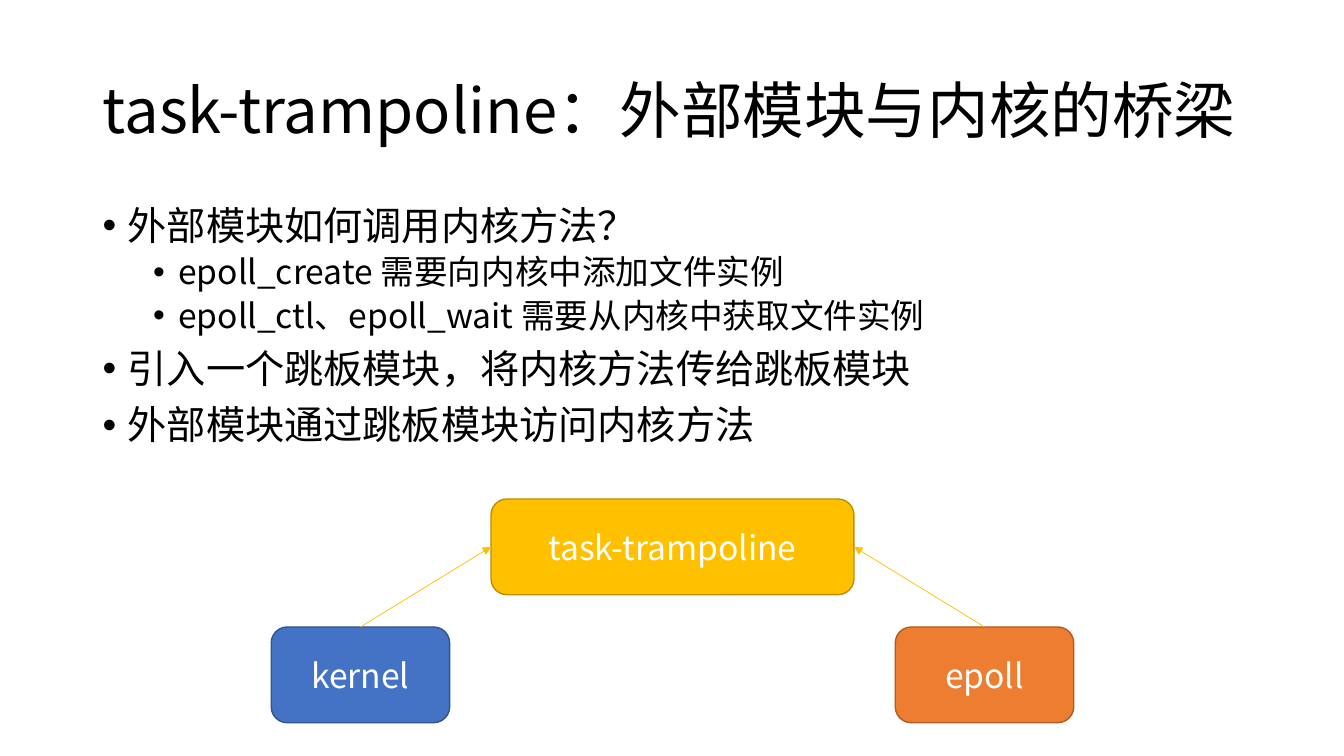
"""Build the task-trampoline slide: title, bullets and a module diagram."""
from lxml.etree import SubElement
from pptx import Presentation
from pptx.dml.color import RGBColor
from pptx.enum.shapes import MSO_CONNECTOR, MSO_SHAPE
from pptx.enum.text import MSO_ANCHOR, PP_ALIGN
from pptx.oxml.ns import qn
from pptx.util import Inches, Pt

FONT = "Noto Sans CJK SC"
COLORS = {
    "text": "000000", "label": "FFFFFF",
    "kernel": "4472C4", "kernel_line": "325491",
    "epoll": "ED7D31", "epoll_line": "AF5C24",
    "trampoline": "FFC000", "trampoline_line": "BD8E00",
}
TITLE = "task-trampoline：外部模块与内核的桥梁"
BULLETS = [
    (0, "外部模块如何调用内核方法？"),
    (1, "epoll_create 需要向内核中添加文件实例"),
    (1, "epoll_ctl、epoll_wait 需要从内核中获取文件实例"),
    (0, "引入一个跳板模块，将内核方法传给跳板模块"),
    (0, "外部模块通过跳板模块访问内核方法"),
]
LEVELS = [(28, 10, 0.25), (24, 5, 0.75)]


def rgb(name):
    return RGBColor.from_string(COLORS[name])


def style_runs(p, size, color):
    for r in p.runs:
        r.font.size = Pt(size)
        r.font.color.rgb = rgb(color)
        r.font.name = FONT
        SubElement(r.font._element, qn("a:ea"), typeface=FONT)


def add_text_frame(s, left, top, width, height, anchor):
    sp = s.shapes.add_textbox(Inches(left), Inches(top), Inches(width), Inches(height))
    tf = sp.text_frame
    tf.word_wrap = True
    tf.vertical_anchor = anchor
    return tf


def add_title(s, text):
    p = add_text_frame(s, 0.92, 0.4, 11.5, 1.45, MSO_ANCHOR.MIDDLE).paragraphs[0]
    p.text = text
    p.line_spacing = 0.9
    style_runs(p, 44, "text")


def add_bullets(s, bullets):
    tf = add_text_frame(s, 0.92, 2, 11.5, 4.76, MSO_ANCHOR.TOP)
    for i, (level, text) in enumerate(bullets):
        p = tf.add_paragraph() if i else tf.paragraphs[0]
        size, before, indent = LEVELS[level]
        p.text = text
        p.level = level
        p.line_spacing = 0.9
        p.space_before = Pt(before)
        pPr = p._p.get_or_add_pPr()
        pPr.set("marL", str(Inches(indent)))
        pPr.set("indent", str(Inches(-0.25)))
        SubElement(pPr, qn("a:buFont"), typeface="Arial")
        SubElement(pPr, qn("a:buChar"), char="•")
        style_runs(p, size, "text")


def add_module(s, text, color, left, top, width):
    sp = s.shapes.add_shape(MSO_SHAPE.ROUNDED_RECTANGLE, Inches(left), Inches(top),
                            Inches(width), Inches(0.95))
    sp.shadow.inherit = False
    sp.fill.solid()
    sp.fill.fore_color.rgb = rgb(color)
    sp.line.color.rgb = rgb(color + "_line")
    sp.line.width = Pt(1)
    tf = sp.text_frame
    tf.text = text
    tf.vertical_anchor = MSO_ANCHOR.MIDDLE
    p = tf.paragraphs[0]
    p.alignment = PP_ALIGN.CENTER
    style_runs(p, 24, "label")
    return sp


def add_arrow(s, source, source_site, target, target_site):
    cxn = s.shapes.add_connector(MSO_CONNECTOR.STRAIGHT, 0, 0, 0, 0)
    cxn.begin_connect(source, source_site)
    cxn.end_connect(target, target_site)
    cxn.line.color.rgb = rgb("trampoline")
    cxn.line.width = Pt(0.5)
    SubElement(cxn.line._get_or_add_ln(), qn("a:tailEnd"), type="triangle")
    SubElement(cxn._element.spPr, qn("a:effectLst"))


def main():
    prs = Presentation()
    prs.slide_width = Inches(13.33)
    prs.slide_height = Inches(7.5)
    s = prs.slides.add_slide(prs.slide_layouts[6])
    add_title(s, TITLE)
    add_bullets(s, BULLETS)
    kernel = add_module(s, "kernel", "kernel", 2.69, 6.22, 1.77)
    epoll = add_module(s, "epoll", "epoll", 8.88, 6.22, 1.77)
    trampoline = add_module(s, "task-trampoline", "trampoline", 4.87, 4.95, 3.6)
    top, left, right = 0, 1, 3
    add_arrow(s, kernel, top, trampoline, left)
    add_arrow(s, epoll, top, trampoline, right)
    prs.save("out.pptx")


if __name__ == "__main__":
    main()
